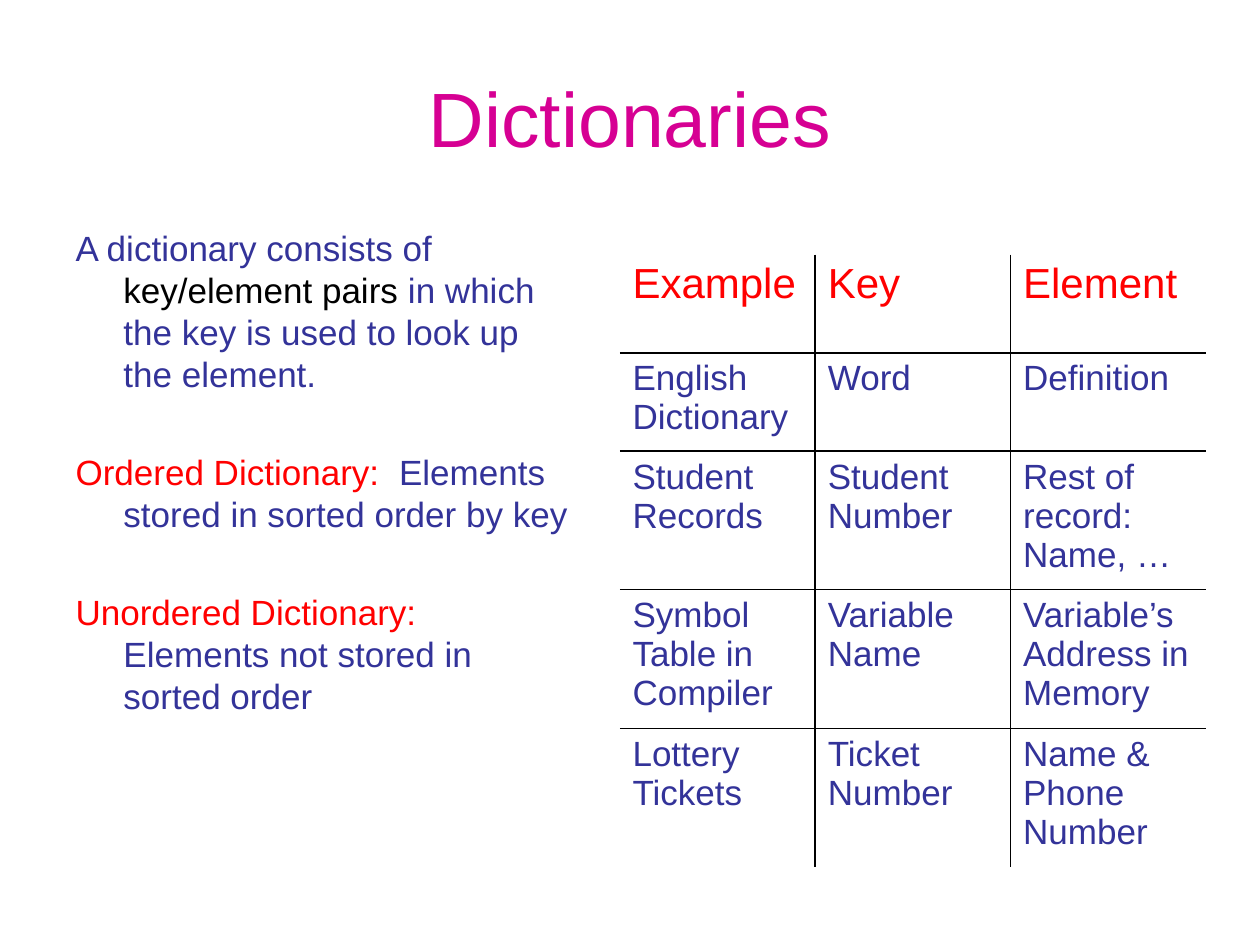
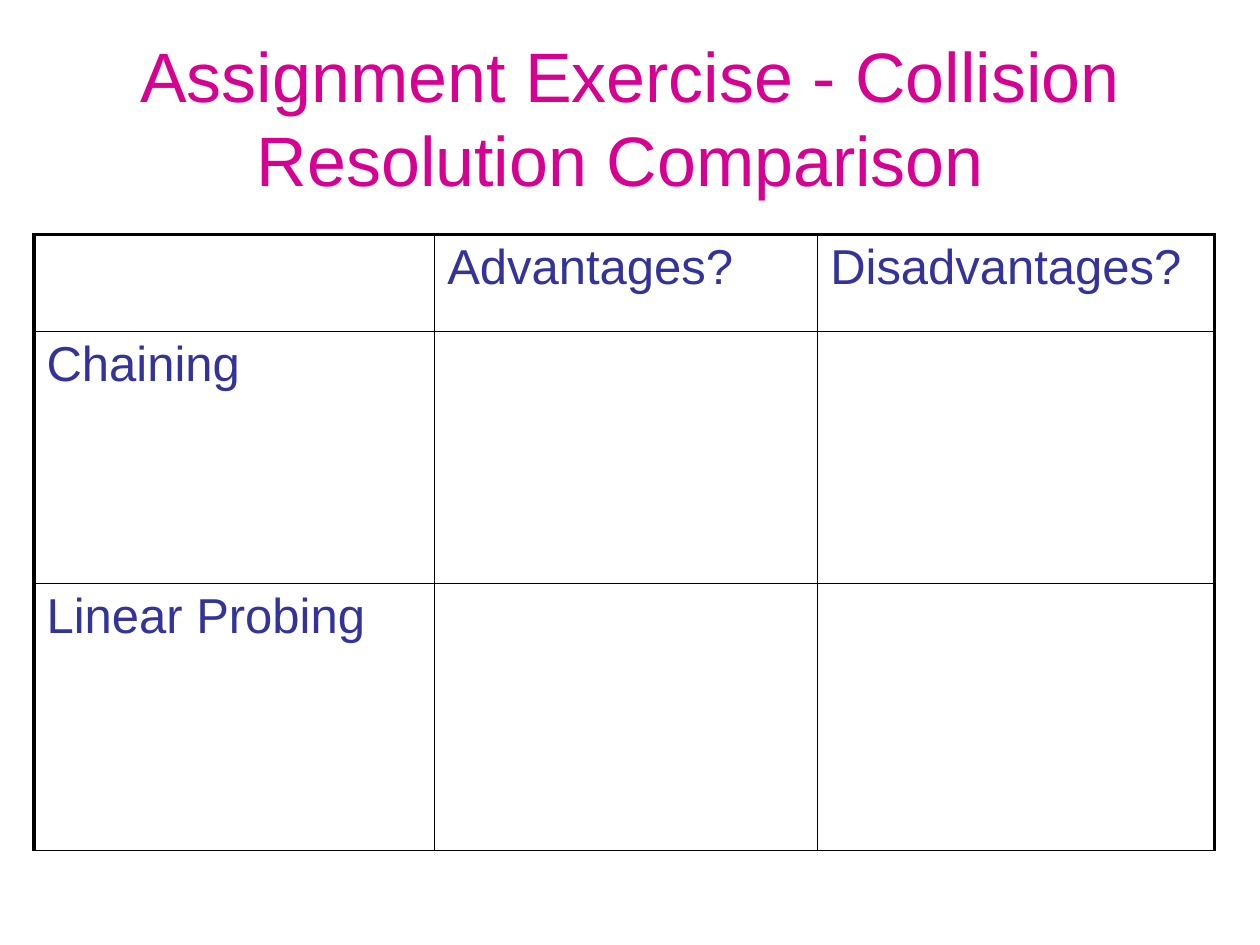
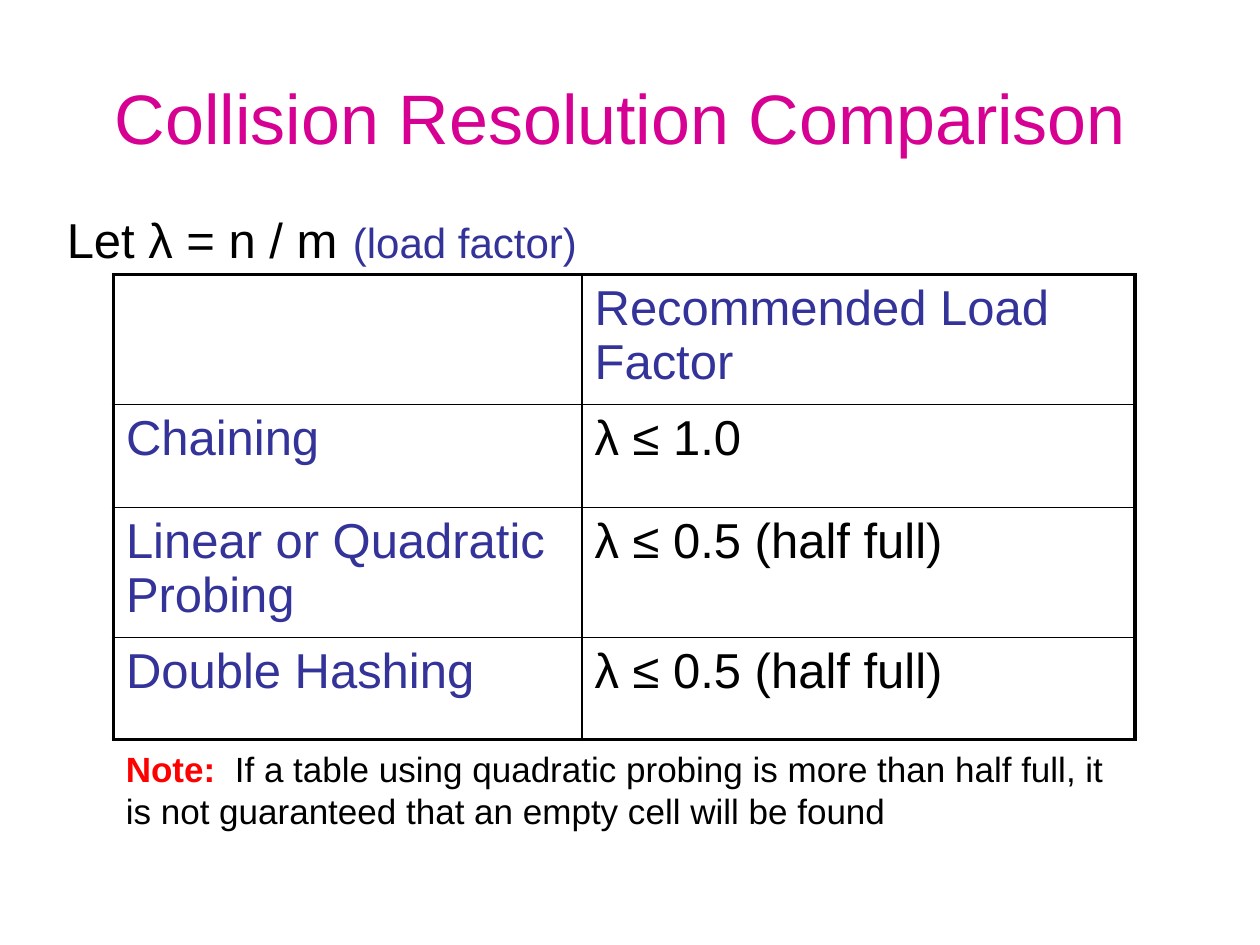
"""Build three slides on dictionaries and collision resolution."""
from dataclasses import dataclass

from lxml import etree
from pptx import Presentation
from pptx import util as u
from pptx.dml.color import RGBColor
from pptx.enum import text
from pptx.oxml import ns


@dataclass(frozen=True)
class Theme:
    """Colours, type sizes and line widths shared by the slides."""
    font: str = "Arial"
    title: str = "D60093"
    body: str = "333399"
    accent: str = "FF0000"
    ink: str = "000000"
    title_large: int = 44
    title_small: int = 40
    large: int = 28
    medium: int = 24
    small: int = 20
    thin: float = 1
    thick: float = 2.25
    plain_table: str = "{2D5ABB26-0587-4C30-8999-92F81FD0307C}"


T = Theme()
TITLE_BOX = (0.5, 0.3, 9, 1.25)


def place(sp, box):
    """Move a shape to a box given in inches."""
    sp.left, sp.top, sp.width, sp.height = map(u.Inches, box)


def add_run(p, words, size, color, bold=False):
    """Add one formatted run to a paragraph."""
    r = p.add_run()
    r.text = words
    r.font.name, r.font.size, r.font.bold = T.font, u.Pt(size), bold
    r.font.color.rgb = RGBColor.from_string(color)


def add_slide(prs, layout, title, size):
    """Add a slide and fill its title placeholder."""
    s = prs.slides.add_slide(prs.slide_layouts.get_by_name(layout))
    sp = s.shapes.title
    place(sp, TITLE_BOX)
    tf = sp.text_frame
    tf.auto_size = text.MSO_AUTO_SIZE.NONE
    tf.vertical_anchor = text.MSO_ANCHOR.MIDDLE
    p = tf.paragraphs[0]
    p.alignment = text.PP_ALIGN.CENTER
    add_run(p, title, size, T.title)
    return s


def fill_body(s, box, paragraphs, gap=0, line_spacing=None):
    """Fill the body placeholder with unbulleted hanging paragraphs."""
    sp = s.placeholders[1]
    place(sp, box)
    tf = sp.text_frame
    tf.auto_size = text.MSO_AUTO_SIZE.NONE
    for i, runs in enumerate(paragraphs):
        p = tf.add_paragraph() if i else tf.paragraphs[0]
        if i:
            p.space_before = u.Pt(gap)
        if line_spacing:
            p.line_spacing = line_spacing
        pPr = p._p.get_or_add_pPr()
        pPr.set("marL", str(u.Inches(0.38)))
        pPr.set("indent", str(u.Inches(-0.38)))
        etree.SubElement(pPr, ns.qn("a:buNone"))
        for run in runs:
            add_run(p, *run)


def set_border(cell, side, width):
    """Draw one solid edge of a cell."""
    ln = etree.SubElement(cell._tc.get_or_add_tcPr(), ns.qn(f"a:ln{side}"), w=str(u.Pt(width)))
    fill = etree.SubElement(ln, ns.qn("a:solidFill"))
    etree.SubElement(fill, ns.qn("a:srgbClr"), val=T.ink)


def add_grid(s, box, widths, heights, rows, style, frame):
    """Add a ruled table; style gives size and colour, frame the outer edge widths."""
    n_rows, n_cols = len(rows), len(widths)
    tbl = s.shapes.add_table(n_rows, n_cols, *map(u.Inches, box)).table
    tbl.first_row = tbl.horz_banding = False
    tbl._tbl.tblPr.find(ns.qn("a:tableStyleId")).text = T.plain_table
    for col, width in zip(tbl.columns, widths):
        col.width = u.Inches(width)
    for row, height in zip(tbl.rows, heights):
        row.height = u.Inches(height)
    for i, row in enumerate(rows):
        for j, words in enumerate(row):
            cell = tbl.cell(i, j)
            outer = {"L": j == 0, "R": j == n_cols - 1, "T": i == 0, "B": i == n_rows - 1}
            for side, is_outer in outer.items():
                width = frame.get(side) if is_outer else T.thin
                if width:
                    set_border(cell, side, width)
            cell.fill.background()
            if words:
                add_run(cell.text_frame.paragraphs[0], words, *style(i, j))


def add_note(s, box, runs):
    """Add a wrapped text box below a table."""
    tf = s.shapes.add_textbox(*map(u.Inches, box)).text_frame
    tf.word_wrap = True
    for run in runs:
        add_run(tf.paragraphs[0], *run)


def dictionaries_slide(prs):
    """Define dictionaries beside a table of examples."""
    s = add_slide(prs, "Title and Content", "Dictionaries", T.title_large)
    fill_body(s, (0.5, 1.75, 4.11, 4.95), [
        [("A dictionary consists of ", T.small, T.body),
         ("key/element pairs", T.small, T.ink),
         (" in which the key is used to look up the element.", T.small, T.body)],
        [("Ordered Dictionary:", T.small, T.accent),
         ("  Elements stored in sorted order by key", T.small, T.body)],
        [("Unordered Dictionary:", T.small, T.accent),
         (" Elements not stored in sorted order", T.small, T.body)],
    ], gap=32)
    rows = [
        ("Example", "Key", "Element"),
        ("English Dictionary", "Word", "Definition"),
        ("Student Records", "Student Number", "Rest of record:  Name, …"),
        ("Symbol Table in Compiler", "Variable Name", "Variable’s Address in Memory"),
        ("Lottery Tickets", "Ticket Number", "Name & Phone Number"),
    ]
    add_grid(s, (4.92, 2.02, 4.65, 4.87), [1.55] * 3, [0.78] * 2 + [1.1] * 3, rows,
             lambda i, j: (T.small, T.body) if i else (T.medium, T.accent), {})


def exercise_slide(prs):
    """Leave a table open for comparing two methods."""
    s = add_slide(prs, "Title Only",
                  "Assignment Exercise - Collision Resolution Comparison ", T.title_small)
    rows = [("", "Advantages?", "Disadvantages?"),
            ("Chaining", "", ""),
            ("Linear Probing", "", "")]
    add_grid(s, (0.27, 1.86, 9.37, 4.89), (3.18, 3.04, 3.15), (0.77, 2, 2.12), rows,
             lambda i, j: (T.large, T.body),
             {"L": T.thick, "R": T.thick, "T": T.thick, "B": T.thin})


def load_factor_slide(prs):
    """Compare the recommended load factors."""
    s = add_slide(prs, "Title and Content", "Collision Resolution Comparison ", T.title_small)
    fill_body(s, (0.43, 1.62, 8.83, 0.9), [
        [("Let λ = n / m", T.large, T.ink), (" ", 32, T.body),
         ("(load factor)", T.medium, T.body)],
    ], line_spacing=0.9)
    rows = [("", "Recommended Load Factor"),
            ("Chaining", "λ ≤ 1.0"),
            ("Linear or Quadratic Probing", "λ ≤ 0.5 (half full)"),
            ("Double Hashing", "λ ≤ 0.5 (half full)")]
    add_grid(s, (0.9, 2.18, 8.11, 3.7), (3.72, 4.39), (1.03, 0.82, 1.03, 0.81), rows,
             lambda i, j: (T.large, T.ink if i and j else T.body),
             dict.fromkeys("LRTB", T.thick))
    add_note(s, (0.9, 5.88, 8.19, 0.77), [
        ("Note:  ", T.small, T.accent, True),
        ("If a table using quadratic probing is more than half full, it is not "
         "guaranteed that an empty cell will be found", T.small, T.ink),
    ])


def main():
    """Build and save the presentation."""
    prs = Presentation()
    prs.slide_width, prs.slide_height = u.Inches(10), u.Inches(7.5)
    for build in (dictionaries_slide, exercise_slide, load_factor_slide):
        build(prs)
    prs.save("out.pptx")


if __name__ == "__main__":
    main()
